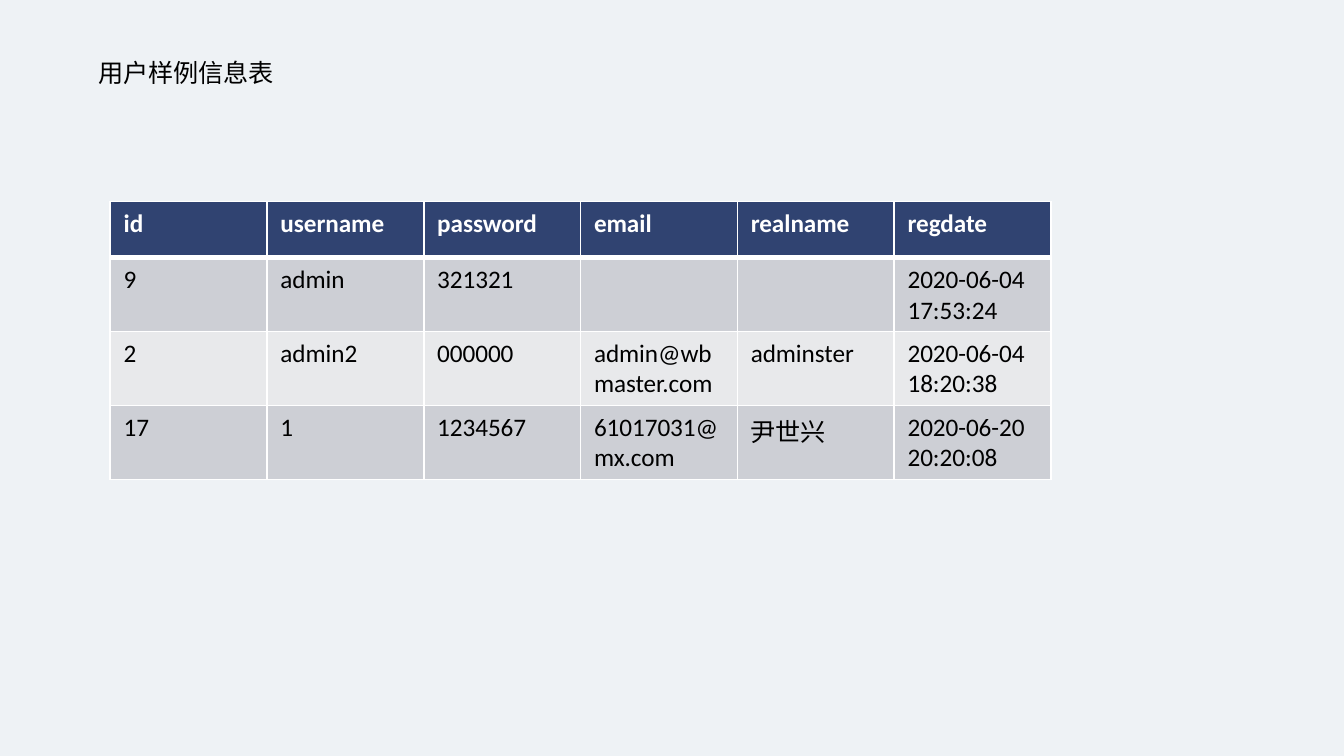
from lxml.etree import SubElement
from pptx import Presentation
from pptx.dml.color import RGBColor
from pptx.enum.text import MSO_ANCHOR, MSO_AUTO_SIZE, PP_ALIGN
from pptx.oxml.ns import qn
from pptx.util import Inches, Pt

TITLE = "用户样例信息表"
ROWS = [
    ["id", "username", "password", "email", "realname", "regdate"],
    ["9", "admin", "321321", "", "", "2020-06-04 \n17:53:24"],
    ["2", "admin2", "000000", "admin@wbmaster.com", "adminster", "2020-06-04\n18:20:38"],
    ["17", "1", "1234567", "61017031@mx.com", "尹世兴", "2020-06-20\n20:20:08"],
]
TABLE_WIDTH, TABLE_HEIGHT = 7, 1.67
HEADER_FILL = "304371"
BAND_FILLS = ["E8E9EB", "CDCFD5"]
BACKGROUND, BLACK, WHITE = "EEF2F5", "000000", "FFFFFF"


def set_fill(fill, color):
    fill.solid()
    fill.fore_color.rgb = RGBColor.from_string(color)


def write_text(frame, text, color, bold=False):
    frame.text = text
    font_format = {"name": "Calibri", "size": Pt(13.5), "bold": bold}
    for paragraph in frame.paragraphs:
        paragraph.alignment = PP_ALIGN.LEFT
        for part in (paragraph, *paragraph.runs):
            for name, value in font_format.items():
                setattr(part.font, name, value)
            part.font.color.rgb = RGBColor.from_string(color)


def set_borders(cell, widths):
    properties = cell._tc.get_or_add_tcPr()
    for position, (side, width) in enumerate(widths.items()):
        line = SubElement(properties, qn(f"a:ln{side}"), w=str(Pt(width)))
        fill = SubElement(line, qn("a:solidFill"))
        SubElement(fill, qn("a:srgbClr"), val=WHITE)
        properties.remove(line)
        properties.insert(position, line)


presentation = Presentation()
presentation.slide_width = Inches(10)
presentation.slide_height = Inches(10 * 9 / 16)
slide = presentation.slides.add_slide(presentation.slide_layouts[5])
set_fill(slide.background.fill, BACKGROUND)

title = slide.shapes.title
title_box = {"left": 0.63, "top": 0.38, "width": 1.66, "height": 0.33}
for name, value in title_box.items():
    setattr(title, name, Inches(value))
write_text(title.text_frame, TITLE, BLACK)
title_format = {
    "vertical_anchor": MSO_ANCHOR.TOP,
    "auto_size": MSO_AUTO_SIZE.SHAPE_TO_FIT_TEXT,
    "word_wrap": False,
}
for name, value in title_format.items():
    setattr(title.text_frame, name, value)

user_table = slide.shapes.add_table(
    len(ROWS), len(ROWS[0]), Inches(0.82), Inches(1.5),
    Inches(TABLE_WIDTH), Inches(TABLE_HEIGHT),
).table
for row_index, values in enumerate(ROWS):
    header = row_index == 0
    for column_index, value in enumerate(values):
        cell = user_table.cell(row_index, column_index)
        set_fill(cell.fill, HEADER_FILL if header else BAND_FILLS[row_index % 2])
        write_text(cell.text_frame, value, WHITE if header else BLACK, header)
        set_borders(cell, {"L": 1, "R": 1, "T": 3 if row_index == 1 else 1,
                           "B": 3 if header else 1})

presentation.save("out.pptx")
